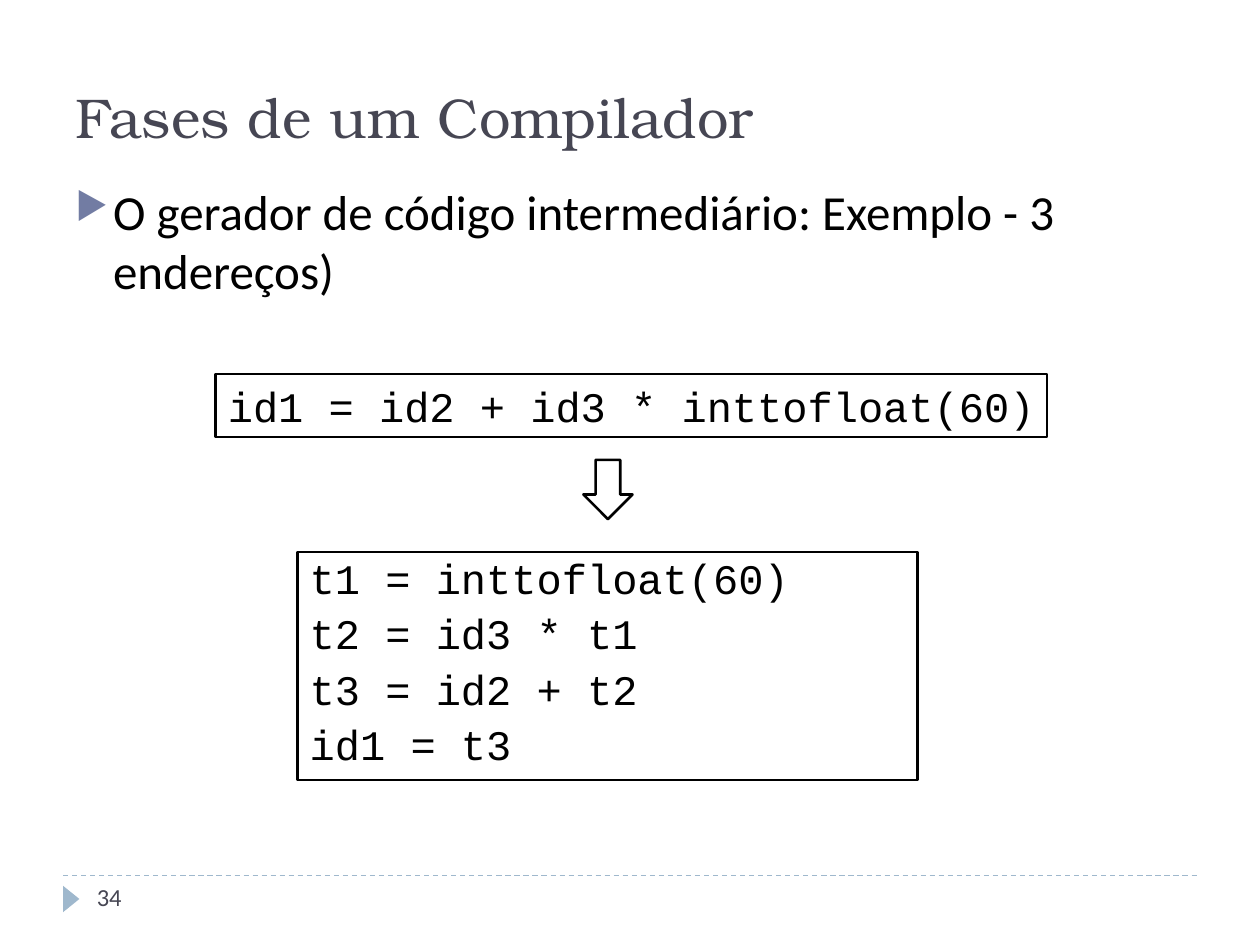
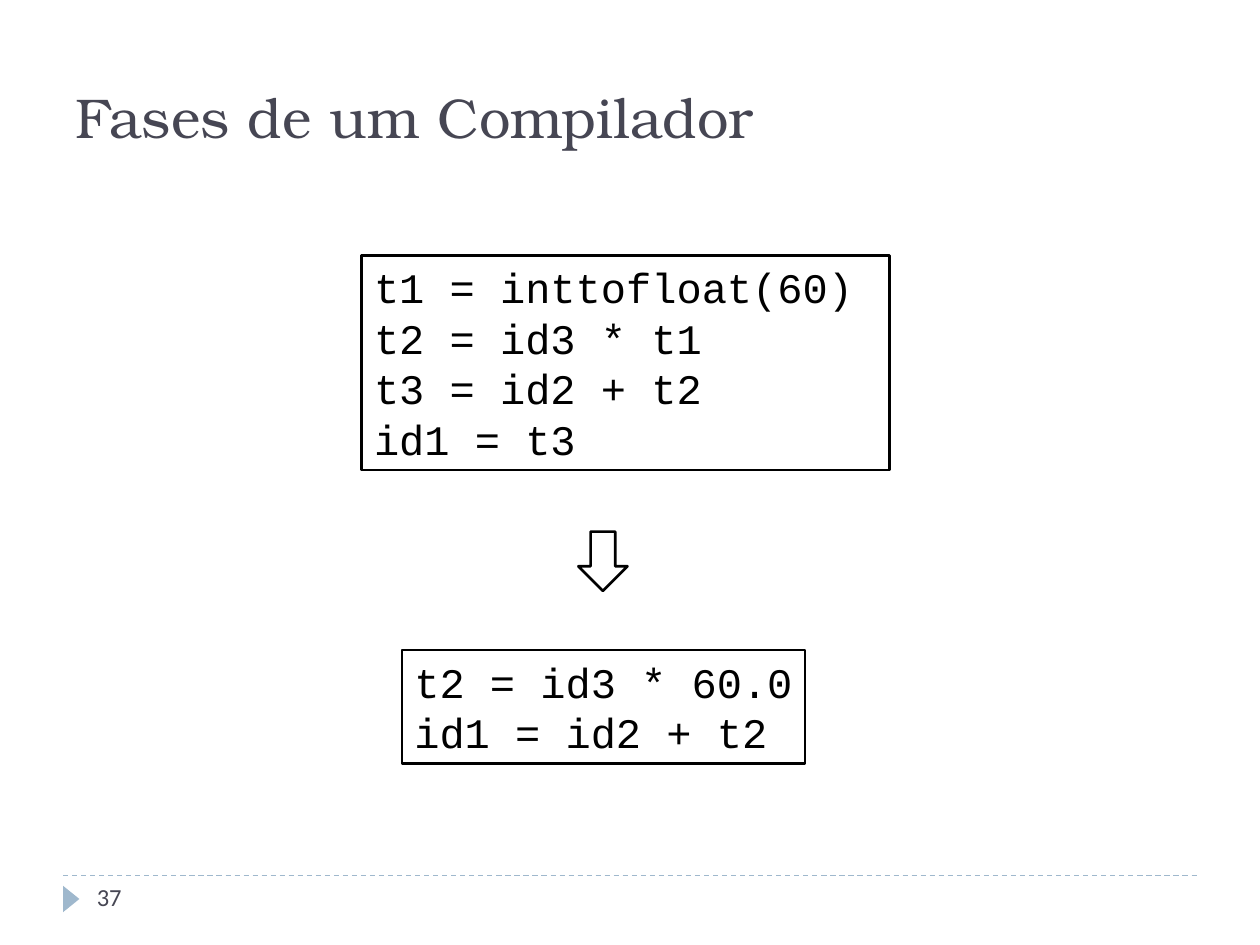
from lxml import etree
from pptx import Presentation
from pptx.dml.color import RGBColor
from pptx.enum.dml import MSO_LINE
from pptx.enum.shapes import MSO_CONNECTOR, MSO_SHAPE
from pptx.enum.text import MSO_ANCHOR, PP_ALIGN
from pptx.oxml.ns import qn
from pptx.util import Inches, Pt

DASH = MSO_LINE.DASH
STRAIGHT = MSO_CONNECTOR.STRAIGHT
RECTANGLE, TRIANGLE, DOWN_ARROW = MSO_SHAPE.RECTANGLE, MSO_SHAPE.ISOSCELES_TRIANGLE, MSO_SHAPE.DOWN_ARROW
TOP, MIDDLE = MSO_ANCHOR.TOP, MSO_ANCHOR.MIDDLE
LEFT = PP_ALIGN.LEFT

COLORS = {"title": "464653", "text": "000000", "paper": "FFFFFF",
          "accent": "9FB8CD", "bullet": "727CA3"}
FORMATS = {
    "title": {"name": "TeX Gyre Bonum", "size": Pt(32), "color": "title"},
    "body": {"name": "Calibri", "size": Pt(28), "color": "text"},
    "code": {"name": "Courier New", "size": Pt(24), "color": "text"},
    "number": {"name": "Calibri", "size": Pt(14), "color": "title"},
}
CONVERSION = ["t1 = inttofloat(60)", "t2 = id3 * t1", "t3 = id2 + t2", "id1 = t3"]


def add_outlined(shapes, kind, position):
    shape = shapes.add_shape(kind, *map(Inches, position))
    shape.shadow.inherit = False
    shape.fill.solid()
    shape.fill.fore_color.rgb = RGBColor.from_string(COLORS["paper"])
    shape.line.color.rgb = RGBColor.from_string(COLORS["text"])
    shape.line.width = Pt(1.5)
    return shape


def write(shape, paragraphs, style, anchor=TOP, wrap=True, hanging=False, **spacing):
    frame = shape.text_frame
    frame.word_wrap = wrap
    frame.vertical_anchor = anchor
    for index, text in enumerate(paragraphs):
        paragraph = frame.add_paragraph() if index else frame.paragraphs[0]
        paragraph.text = text
        paragraph.alignment = LEFT
        if hanging:
            properties = paragraph._p.get_or_add_pPr()
            properties.set("marL", str(Inches(0.3)))
            properties.set("indent", str(Inches(-0.3)))
        for name, value in spacing.items():
            if index or name != "space_before":
                setattr(paragraph, name, value)
        for run in paragraph.runs:
            for name, value in FORMATS[style].items():
                if name == "color":
                    run.font.color.rgb = RGBColor.from_string(COLORS[value])
                else:
                    setattr(run.font, name, value)


presentation = Presentation()
presentation.slide_width, presentation.slide_height = Inches(10), Inches(7.5)

# Shared frame: footer rule, marker, title and page number
slides = []
for number in ("34", "37"):
    slide = presentation.slides.add_slide(presentation.slide_layouts[6])
    rule = slide.shapes.add_connector(STRAIGHT, Inches(0.5), Inches(6.95), Inches(9.5), Inches(6.95))
    rule.line.color.rgb = RGBColor.from_string(COLORS["accent"])
    rule.line.width = Pt(0.75)
    rule.line.dash_style = DASH
    etree.SubElement(rule._element.spPr, qn("a:effectLst"))

    marker = slide.shapes.add_shape(TRIANGLE, Inches(0.46), Inches(7.07), Inches(0.21), Inches(0.13))
    marker.rotation = 90
    marker.shadow.inherit = False
    marker.fill.solid()
    marker.fill.fore_color.rgb = RGBColor.from_string(COLORS["accent"])
    marker.line.fill.background()

    title = slide.shapes.add_textbox(Inches(0.5), Inches(0.3), Inches(9), Inches(1.25))
    write(title, ["Fases de um Compilador"], "title", anchor=MIDDLE)
    page_number = slide.shapes.add_textbox(Inches(0.67), Inches(6.95), Inches(2.17), Inches(0.4))
    write(page_number, [number], "number")
    slides.append(slide)
generation, optimization = slides

# Slide 34: expression turned into three-address code
add_outlined(generation.shapes, DOWN_ARROW, (4.63, 3.65, 0.39, 0.47))
three_address = add_outlined(generation.shapes, RECTANGLE, (2.36, 4.38, 4.92, 1.81))
write(three_address, CONVERSION, "code", hanging=True, line_spacing=0.9, space_before=Pt(5.8))
expression = add_outlined(generation.shapes, RECTANGLE, (1.71, 2.97, 6.6, 0.5))
write(expression, ["id1 = id2 + id3 * inttofloat(60)"], "code", wrap=False)

body = generation.shapes.add_textbox(Inches(0.5), Inches(1.39), Inches(9.3), Inches(5.35))
write(body, ["O gerador de código intermediário: Exemplo - 3 endereços)"], "body", hanging=True)
properties = body.text_frame.paragraphs[0]._p.get_or_add_pPr()
bullet_color = etree.SubElement(properties, qn("a:buClr"))
etree.SubElement(bullet_color, qn("a:srgbClr"), val=COLORS["bullet"])
etree.SubElement(properties, qn("a:buSzPct"), val="76000")
etree.SubElement(properties, qn("a:buChar"), char="▶")

# Slide 37: three-address code shortened
before = add_outlined(optimization.shapes, RECTANGLE, (2.87, 2.03, 4.19, 1.7))
write(before, ["\v".join(CONVERSION)], "code")
result = optimization.shapes.add_group_shape()
add_outlined(result.shapes, DOWN_ARROW, (4.59, 4.22, 0.39, 0.47))
after = add_outlined(result.shapes, RECTANGLE, (3.19, 5.16, 3.2, 0.9))
write(after, ["t2 = id3 * 60.0\vid1 = id2 + t2"], "code")

presentation.save("out.pptx")
